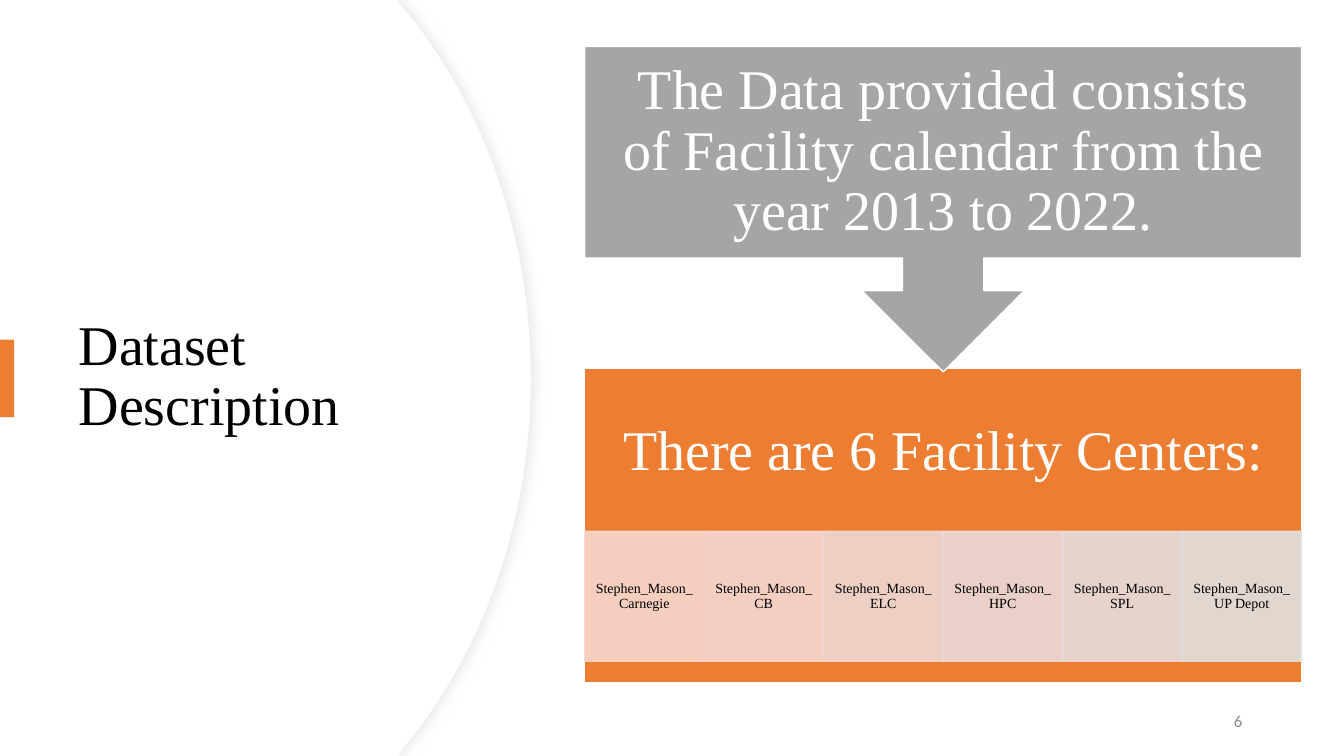
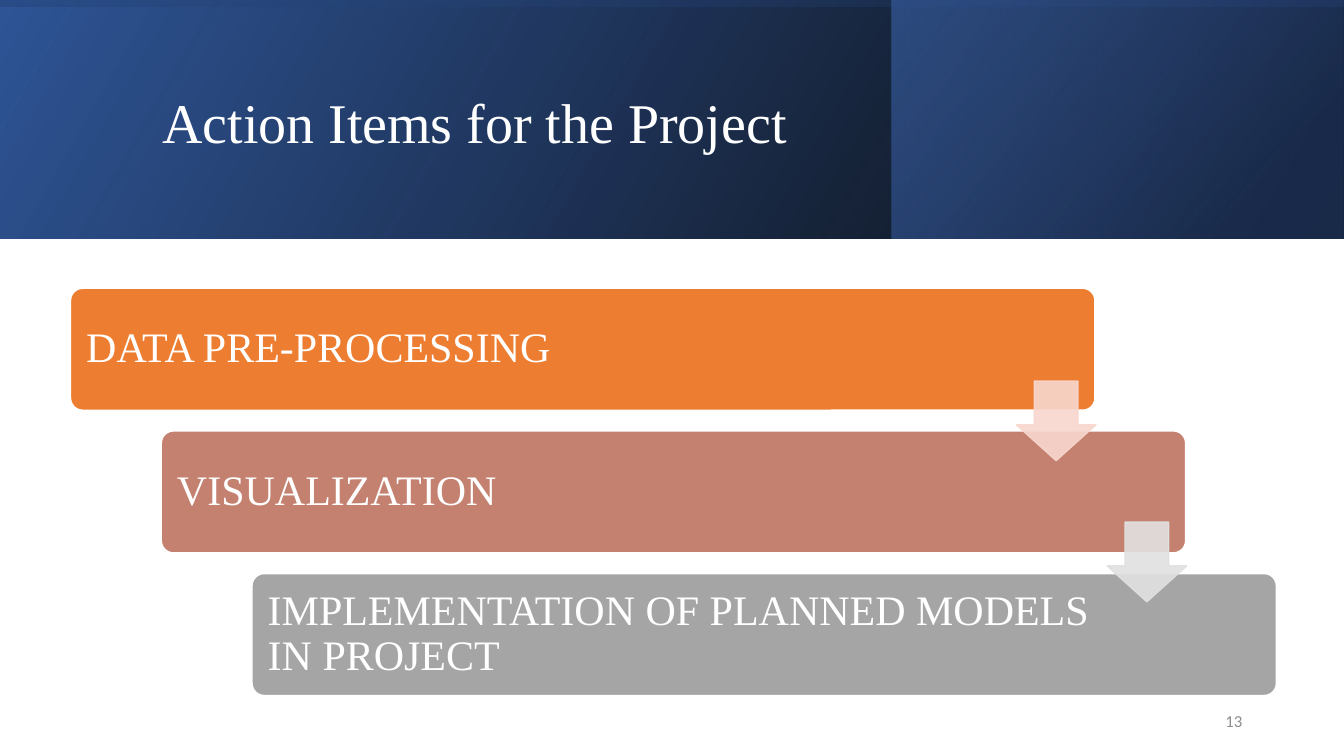
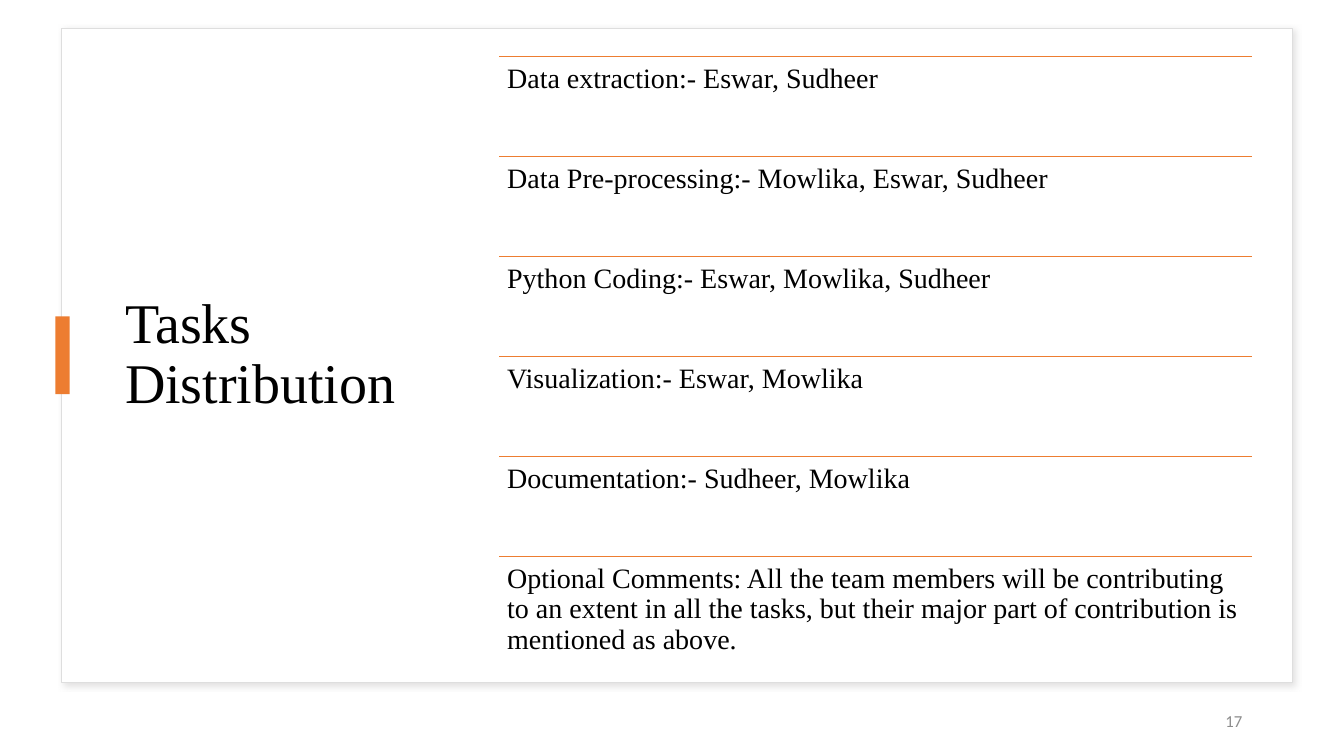
from lxml.etree import SubElement
from pptx import Presentation
from pptx.dml.color import RGBColor
from pptx.enum.shapes import MSO_CONNECTOR, MSO_SHAPE
from pptx.enum.text import MSO_ANCHOR, MSO_AUTO_SIZE, PP_ALIGN
from pptx.oxml.ns import qn
from pptx.util import Inches, Pt

# Shared look
SERIF, SANS = "Times New Roman", "Calibri"
WHITE, BLACK, GRAY = "FFFFFF", "000000", "A5A5A5"
ORANGE, NAVY = "ED7D31", "2F5597"
INSETS = (0.1, 0.05, 0.1, 0.05)
LEFT, MID, RIGHT = PP_ALIGN.LEFT, PP_ALIGN.CENTER, PP_ALIGN.RIGHT


def color(code):
    return RGBColor.from_string(code)


def box(at):
    return [Inches(n) for n in at]


def fade(shape, levels):
    """Set the opacity, in percent, of the shape's colours in order."""
    for node, level in zip(shape.element.spPr.iter(qn("a:srgbClr")), levels):
        SubElement(node, qn("a:alpha"), val=str(level * 1000))


def paint(shape, fill, line=None, width=1):
    shape.shadow.inherit = False
    shape.fill.solid()
    shape.fill.fore_color.rgb = color(fill)
    if line:
        shape.line.color.rgb = color(line)
        shape.line.width = Pt(width)
    else:
        shape.line.fill.background()


def shade(shape, tint, blur, gap, angle):
    """Give the shape a soft outer shadow at half strength."""
    effect = shape.element.spPr.find(qn("a:effectLst"))
    outer = SubElement(effect, qn("a:outerShdw"), blurRad=str(Pt(blur)),
                       dist=str(Pt(gap)), dir=str(angle * 60000),
                       algn="ctr", rotWithShape="0")
    tone = SubElement(outer, qn("a:srgbClr"), val=tint)
    SubElement(tone, qn("a:alpha"), val="50000")


def write(shape, text, size, ink=BLACK, align=LEFT, anchor=MSO_ANCHOR.MIDDLE,
          insets=INSETS, font=SERIF, pitch=0.9):
    frame = shape.text_frame
    frame.word_wrap = True
    frame.auto_size = MSO_AUTO_SIZE.NONE
    frame.vertical_anchor = anchor
    (frame.margin_left, frame.margin_top,
     frame.margin_right, frame.margin_bottom) = box(insets)
    para = frame.paragraphs[0]
    para.alignment = align
    para.line_spacing = pitch
    run = para.add_run()
    run.text = text
    run.font.size = Pt(size)
    run.font.name = font
    run.font.color.rgb = color(ink)


def block(slide, kind, at, fill, line=None):
    shape = slide.shapes.add_shape(kind, *box(at))
    paint(shape, fill, line)
    return shape


def label(slide, at, text, size, **style):
    write(slide.shapes.add_textbox(*box(at)), text, size, **style)


def title(slide, at, text, ink=BLACK):
    """Place the title above the shapes drawn so far."""
    head = slide.shapes.title
    head.left, head.top, head.width, head.height = box(at)
    write(head, text, 40, ink)
    head.element.getparent().append(head.element)


def number(slide, text):
    label(slide, (9.42, 6.95, 3, 0.4), text, 12, ink="8C8C8C",
          align=RIGHT, font=SANS, pitch=1)


def marker(slide, left, top):
    block(slide, MSO_SHAPE.RECTANGLE, (left, top, 0.14, 0.77), ORANGE)


def blend(slide, at, stops, angle, turn=0):
    """Draw a mirrored band; stops are (place, colour, opacity)."""
    band = block(slide, MSO_SHAPE.RECTANGLE, at, WHITE)
    band.rotation = turn
    band.element.spPr.xfrm.set("flipH", "1")
    band.fill.gradient()
    band.fill.gradient_angle = angle
    for stop, (place, tint, _) in zip(band.fill.gradient_stops, stops):
        stop.position = place / 100
        stop.color.rgb = color(tint)
    fade(band, [stop[2] for stop in stops])


def curve(points, steps=24):
    """Sample a cubic curve through its four control points."""
    for step in range(1, steps + 1):
        t = step / steps
        parts = ((1 - t) ** 3, 3 * t * (1 - t) ** 2, 3 * t * t * (1 - t), t ** 3)
        yield tuple(sum(w * p[axis] for w, p in zip(parts, points))
                    for axis in (0, 1))


def bulge(slide, edge):
    """Draw the white panel whose right side bows out to the edge."""
    near, far = edge - 1.26, edge - 0.48
    upper = [(near, 0.08), (far, 1.02), (edge, 2.32), (edge, 3.75)]
    lower = [(x, 7.5 - y) for x, y in reversed(upper)]
    dots = [(3.94, 0), upper[0], *curve(upper), *curve(lower), (3.94, 7.5), (0, 7.5)]
    pen = slide.shapes.build_freeform(0, 0)
    pen.add_line_segments([box(dot) for dot in dots], close=True)
    return pen.convert_to_shape()


def dataset(slide):
    # Curved panel and title
    panel = bulge(slide, 5.27)
    paint(panel, WHITE, "EFEFEF", 0.75)
    shade(panel, "D9D9D9", 7, 3, 0)
    paint(bulge(slide, 5.26), WHITE)
    title(slide, (0.68, 1.27, 3.94, 4.95), "Dataset Description")
    marker(slide, 0, 3.37)

    # Facility centers
    base = block(slide, MSO_SHAPE.RECTANGLE, (5.8, 3.65, 7.11, 3.12), ORANGE, WHITE)
    write(base, "There are 6 Facility Centers:", 40, WHITE, MID,
          insets=(0.31, 0.31, 0.31, 1.75))
    centers = [("Carnegie", "F8D7CE"), ("CB", "F4D7D1"), ("ELC", "EFD8D5"),
               ("HPC", "EADAD9"), ("SPL", "E6DDDD"), ("UP Depot", "E1E1E1")]
    pitch = 7.11 / len(centers)
    for i, (name, tint) in enumerate(centers):
        cell = block(slide, MSO_SHAPE.RECTANGLE,
                     (5.8 + i * pitch, 5.27, 1.18, 1.29), tint, tint)
        fade(cell, (90, 90))
        write(cell, "Stephen_Mason_" + name, 10, align=MID,
              insets=(0.08, 0.01, 0.08, 0.01))

    # Callout pointing down
    arrow = block(slide, MSO_SHAPE.UP_ARROW_CALLOUT, (5.8, 0.46, 7.11, 3.23), GRAY, WHITE)
    arrow.rotation = 180
    label(slide, (5.8, 0.46, 7.11, 2.1),
          "The Data provided consists of Facility calendar from the year 2013 to 2022.",
          40, ink=WHITE, align=MID, insets=(0.31,) * 4)
    number(slide, "6")


def actions(slide):
    # Header bands
    blend(slide, (0, 0, 13.33, 2.37), [(0, BLACK, 96), (100, NAVY, 100)], 30)
    blend(slide, (8.84, 0, 4.48, 2.37), [(19, "203864", 68), (100, "4472C4", 48)], 40)
    blend(slide, (5.48, -5.48, 2.37, 13.33), [(23, NAVY, 16), (99, BLACK, 45)], 10, 270)
    title(slide, (1.51, 0.38, 10.63, 1.72), "Action Items for the Project", WHITE)

    # Stepped boxes
    steps = [("DATA PRE-PROCESSING", ORANGE), ("VISUALIZATION", "C48170"),
             ("IMPLEMENTATION OF PLANNED MODELS IN PROJECT", GRAY)]
    for i, (text, tint) in enumerate(steps):
        step = block(slide, MSO_SHAPE.ROUNDED_RECTANGLE,
                     (0.7 + 0.9 * i, 2.86 + 1.415 * i, 10.16, 1.21), tint, WHITE)
        step.adjustments[0] = 0.1
        write(step, text, 30, WHITE, insets=(0.12, 0.12, 1.81, 0.12))

    # Arrows between the steps
    for i, tint in enumerate(("F8D7CE", "E1E1E1")):
        arrow = block(slide, MSO_SHAPE.DOWN_ARROW,
                      (10.08 + 0.9 * i, 3.78 + 1.4 * i, 0.79, 0.79), tint, tint)
        arrow.adjustments[0], arrow.adjustments[1] = 0.55, 0.45
        fade(arrow, (90, 90))
    number(slide, "13")


def rule(slide, left, top, width):
    line = slide.shapes.add_connector(
        MSO_CONNECTOR.STRAIGHT, *box((left, top, left + width, top)))
    line.line.color.rgb = color(ORANGE)
    line.line.width = Pt(1)
    SubElement(line.element.spPr, qn("a:effectLst"))


def tasks(slide):
    # Framed card and title
    card = block(slide, MSO_SHAPE.RECTANGLE, (0.61, 0.28, 12.21, 6.49), WHITE, "DEDEDE")
    shade(card, "C5C3C3", 4, 3, 45)
    title(slide, (1.14, 0.55, 3.27, 5.95), "Tasks Distribution")
    marker(slide, 0.55, 3.14)

    # Ruled list
    rows = ["Data extraction:- Eswar, Sudheer",
            "Data Pre-processing:- Mowlika, Eswar, Sudheer",
            "Python Coding:- Eswar, Mowlika, Sudheer",
            "Visualization:- Eswar, Mowlika",
            "Documentation:- Sudheer, Mowlika",
            "Optional Comments: All the team members will be contributing to an "
            "extent in all the tasks, but their major part of contribution is "
            "mentioned as above."]
    pitch = 5.95 / len(rows)
    for i, text in enumerate(rows):
        top = 0.56 + i * pitch
        rule(slide, 4.95, top, 7.47)
        label(slide, (4.95, top, 7.47, pitch), text, 20,
              anchor=MSO_ANCHOR.TOP, insets=(0.08,) * 4)
    number(slide, "17")


def main():
    deck = Presentation()
    deck.slide_width, deck.slide_height = box((13.33, 7.5))
    for build in (dataset, actions, tasks):
        build(deck.slides.add_slide(deck.slide_layouts[5]))
    deck.save("out.pptx")


if __name__ == "__main__":
    main()
